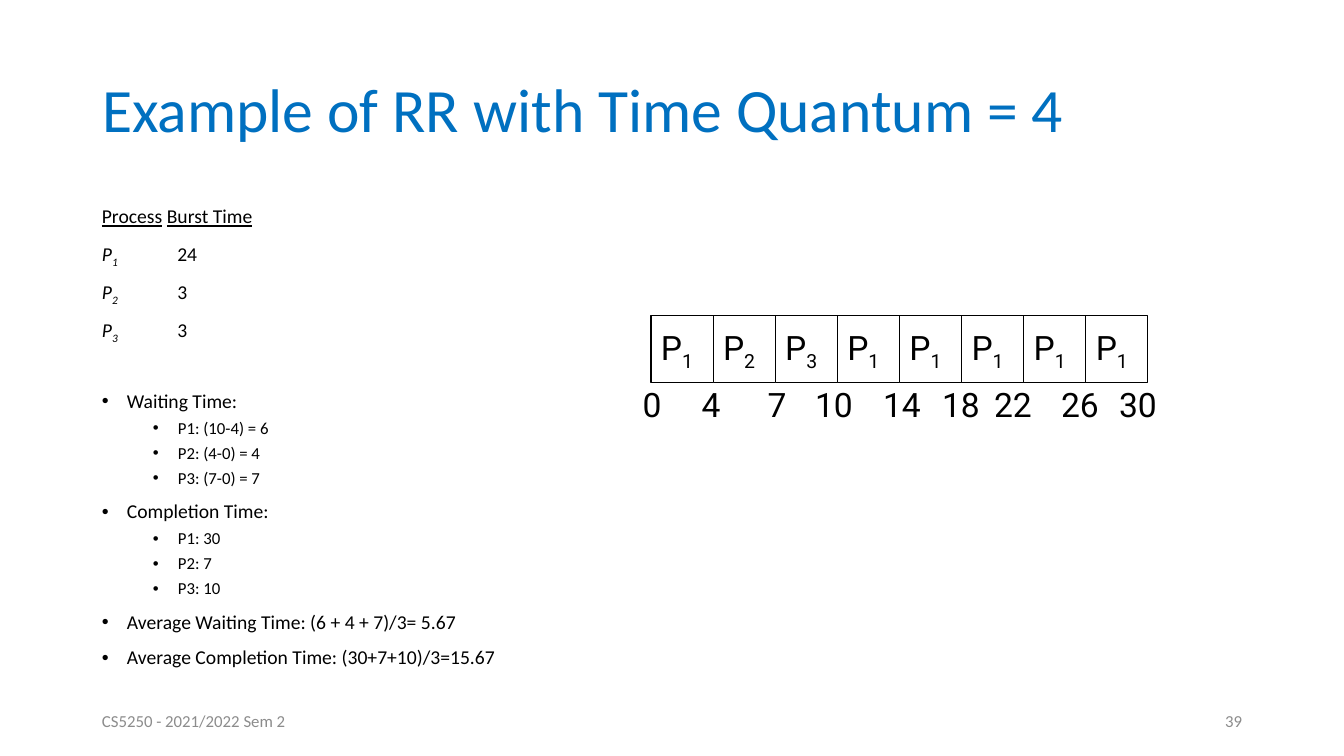
from dataclasses import dataclass

from lxml.etree import SubElement
from pptx import Presentation
from pptx.dml.color import RGBColor
from pptx.enum.shapes import MSO_SHAPE as Shape
from pptx.enum.text import MSO_ANCHOR as Anchor, PP_ALIGN as Align
from pptx.oxml.ns import qn
from pptx.util import Pt

TITLE = "Example of RR with Time Quantum = 4"
BURST_HEADS = ("Process", "Burst Time")
BURSTS = [("1", "24"), ("2", "3"), ("3", "3")]
RESULTS = [
    ("Waiting Time:", ["P1: (10-4) = 6", "P2: (4-0) = 4", "P3: (7-0) = 7"]),
    ("Completion Time:", ["P1: 30", "P2: 7", "P3: 10"]),
    ("Average Waiting Time: (6 + 4 + 7)/3= 5.67", []),
    ("Average Completion Time: (30+7+10)/3=15.67", []),
]
SCHEDULE = "12311111"
# Time label and the px its text is centred on
TIMES = [("0", 652), ("4", 711), ("7", 777), ("10", 834), ("14", 902),
         ("18", 961), ("22", 1013), ("26", 1080), ("30", 1138)]
FOOTER = "CS5250 - 2021/2022 Sem 2"
PAGE_NUMBER = "39"

TITLE_AREA = (92, 40, 1160, 146)
BODY_AREA = (92, 202, 1160, 480)
CHART_LEFT, CHART_TOP, CHART_WIDTH, CELL_HEIGHT = 651, 316, 497, 67
TIME_TOP, TIME_HEIGHT, TIME_PAD, DIGIT_WIDTH = 378, 52, 20, 19
FOOTER_TOP, FOOTER_WIDTH, FOOTER_HEIGHT = 701, 302, 40


@dataclass(frozen=True)
class Theme:
    body_face: str = "Calibri"
    chart_face: str = "Roboto"
    blue: RGBColor = RGBColor(0x00, 0x70, 0xC0)
    black: RGBColor = RGBColor(0x00, 0x00, 0x00)
    white: RGBColor = RGBColor(0xFF, 0xFF, 0xFF)
    grey: RGBColor = RGBColor(0x8C, 0x8C, 0x8C)
    title: int = 44
    chart: int = 24
    body: int = 14
    small: int = 12


THEME = Theme()


def px(length):
    return round(length * 914400 / 100.8)


def set_font(font, size, color=THEME.black, face=THEME.body_face):
    font.size, font.name, font.color.rgb = Pt(size), face, color


def add_span(para, text, subscript=False):
    span = para.add_run()
    span.text = text
    if subscript:
        span._r.get_or_add_rPr().set("baseline", "-25000")
    return span


def add_text(page, area, text, size, color, face, align):
    box = page.shapes.add_textbox(*map(px, area))
    frame = box.text_frame
    frame.word_wrap, frame.vertical_anchor = True, Anchor.MIDDLE
    para = frame.paragraphs[0]
    para.alignment = align
    add_span(para, text)
    set_font(para.font, size, color, face)
    return box


def add_line(frame, indent, before, size, bullet=True):
    """Add a body paragraph with a hanging indent in px."""
    first = not frame.paragraphs[0].runs
    para = frame.paragraphs[0] if first else frame.add_paragraph()
    para.line_spacing = 0.9
    if not first:
        para.space_before = Pt(before)
    props = para._p.get_or_add_pPr()
    props.set("marL", str(px(indent)))
    props.set("indent", str(-px(25)))
    if bullet:
        SubElement(props, qn("a:buFont")).set("typeface", "Arial")
        SubElement(props, qn("a:buChar")).set("char", "•")
    else:
        SubElement(props, qn("a:buNone"))
    set_font(para.font, size)
    return para


def add_title(page):
    title = page.shapes.title
    title.left, title.top, title.width, title.height = map(px, TITLE_AREA)
    frame = title.text_frame
    frame.word_wrap, frame.vertical_anchor = True, Anchor.MIDDLE
    para = frame.paragraphs[0]
    para.alignment, para.line_spacing = Align.LEFT, 0.9
    add_span(para, TITLE)
    set_font(para.font, THEME.title, THEME.blue)


def add_body(page):
    frame = page.shapes.add_textbox(*map(px, BODY_AREA)).text_frame
    frame.word_wrap = True

    heads = add_line(frame, 25, 10, THEME.body, bullet=False)
    process, burst_time = BURST_HEADS
    add_span(heads, process).font.underline = True
    add_span(heads, " ")
    add_span(heads, burst_time).font.underline = True
    for number, burst in BURSTS:
        row = add_line(frame, 25, 10, THEME.body, bullet=False)
        add_span(row, "P").font.italic = True
        add_span(row, number + "\t\t", subscript=True).font.italic = True
        add_span(row, burst)

    for index, (heading, details) in enumerate(RESULTS):
        before = 10 if index else 35
        add_span(add_line(frame, 25, before, THEME.body), heading)
        for detail in details:
            para = add_line(frame, 76, 5, THEME.small)
            para.level = 1
            add_span(para, detail)


def add_schedule(page):
    cell_width = CHART_WIDTH / len(SCHEDULE)
    for index, number in enumerate(SCHEDULE):
        area = (CHART_LEFT + index * cell_width, CHART_TOP, cell_width, CELL_HEIGHT)
        cell = page.shapes.add_shape(Shape.RECTANGLE, *map(px, area))
        cell.shadow.inherit = False
        cell.fill.solid()
        cell.fill.fore_color.rgb = THEME.white
        cell.line.color.rgb = THEME.black
        cell.line.width = Pt(0.75)
        cell.text_frame.vertical_anchor = Anchor.MIDDLE
        para = cell.text_frame.paragraphs[0]
        para.alignment = Align.LEFT
        add_span(para, "P")
        add_span(para, number, subscript=True)
        set_font(para.font, THEME.chart, face=THEME.chart_face)

    for time, center in TIMES:
        width = TIME_PAD + DIGIT_WIDTH * len(time)
        area = (center - width / 2, TIME_TOP, width, TIME_HEIGHT)
        box = add_text(page, area, time, THEME.chart, THEME.black,
                       THEME.chart_face, Align.CENTER)
        box.text_frame.word_wrap = False


def add_footer(page):
    left, _, width, _ = TITLE_AREA
    right = left + width - FOOTER_WIDTH
    for x, text, align in [(left, FOOTER, Align.LEFT), (right, PAGE_NUMBER, Align.RIGHT)]:
        add_text(page, (x, FOOTER_TOP, FOOTER_WIDTH, FOOTER_HEIGHT), text,
                 THEME.small, THEME.grey, THEME.body_face, align)


def main():
    deck = Presentation()
    deck.slide_width, deck.slide_height = px(1344), px(756)
    page = deck.slides.add_slide(deck.slide_layouts[5])
    add_title(page)
    add_body(page)
    add_schedule(page)
    add_footer(page)
    deck.save("out.pptx")


if __name__ == "__main__":
    main()
